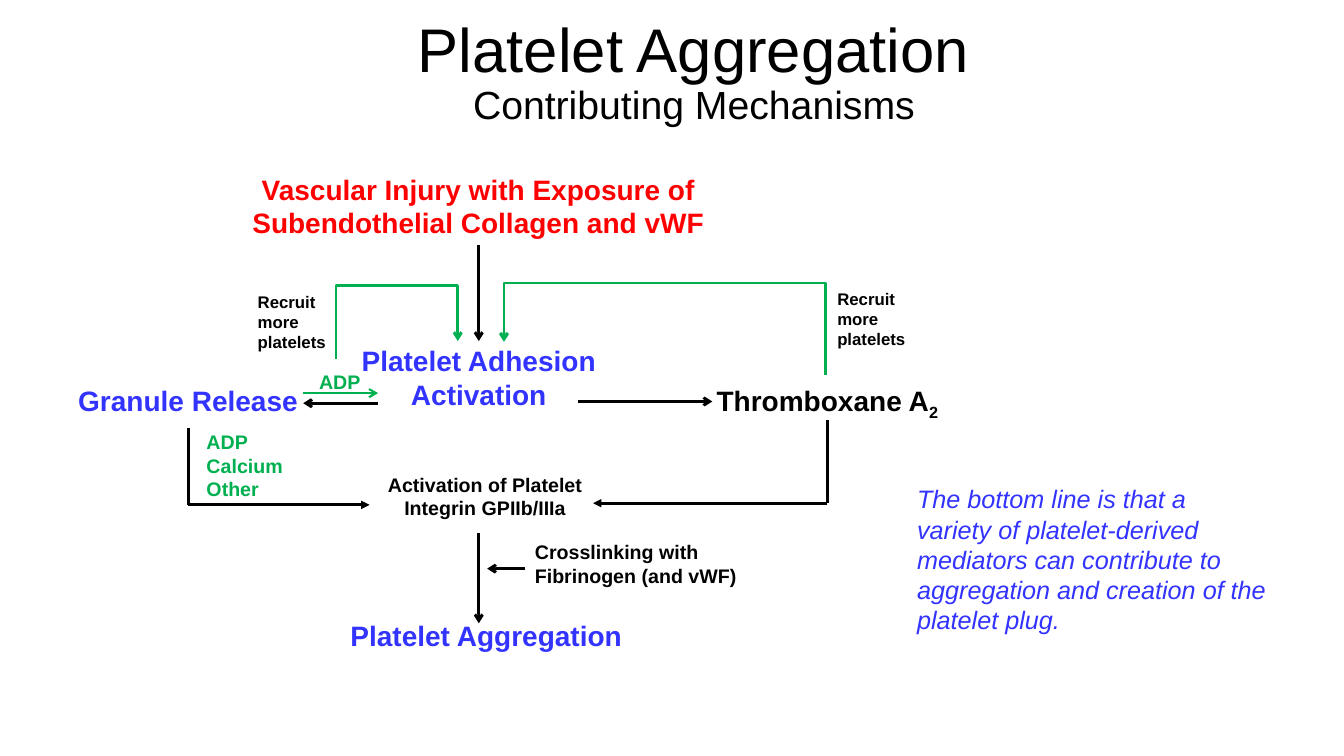
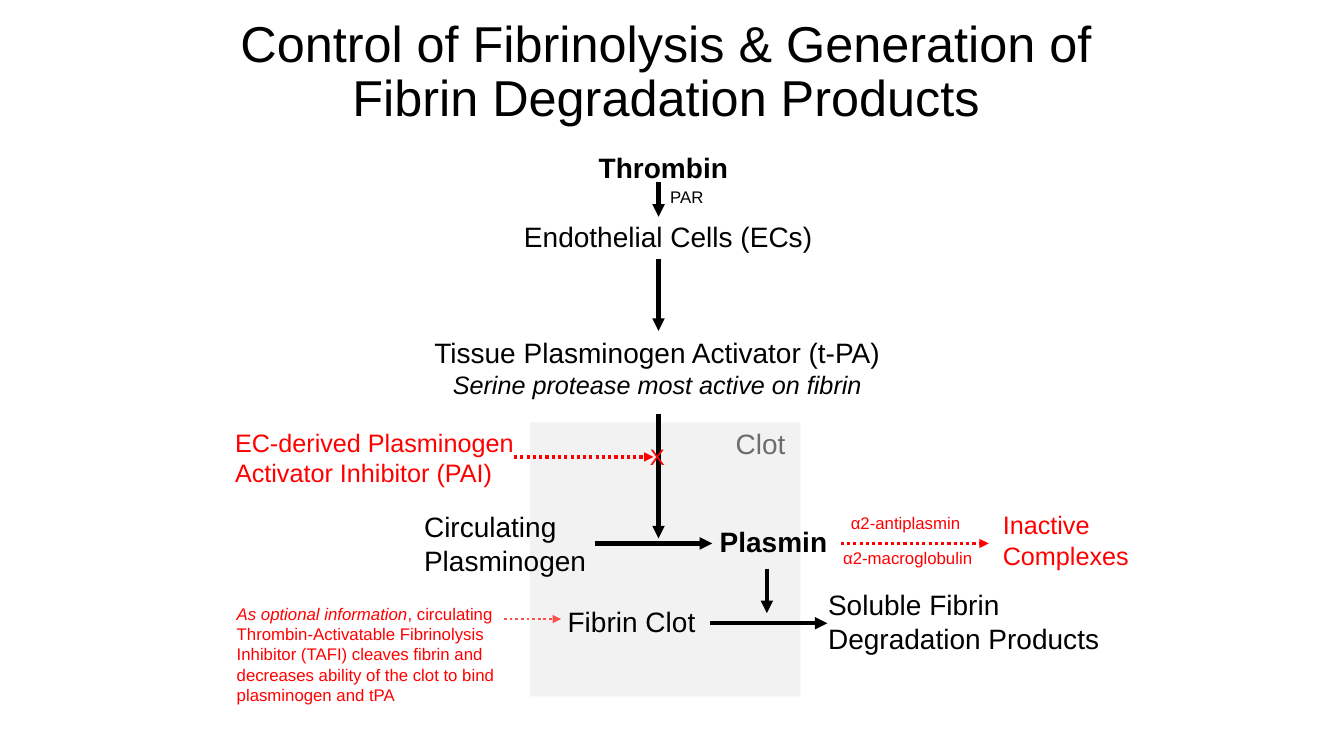
from lxml import etree
from pptx import Presentation
from pptx.dml.color import RGBColor
from pptx.enum.dml import MSO_LINE
from pptx.enum.shapes import MSO_CONNECTOR, MSO_SHAPE
from pptx.enum.text import MSO_ANCHOR, PP_ALIGN
from pptx.oxml.ns import qn
from pptx.util import Inches, Pt

LEFT, CENTER = PP_ALIGN.LEFT, PP_ALIGN.CENTER
TOP, MIDDLE = MSO_ANCHOR.TOP, MSO_ANCHOR.MIDDLE
STRAIGHT = MSO_CONNECTOR.STRAIGHT
RECTANGLE = MSO_SHAPE.RECTANGLE
DOTTED = MSO_LINE.ROUND_DOT

COLUMNS, ROWS = 160, 90
CELL = Inches(1) / 12
BLANK_LAYOUT = 6
FONT = "Arial"

BLACK, WHITE = "000000", "FFFFFF"
RED, PALE_RED = "FF0000", "FF5050"
BLUE, GREEN = "3333FF", "00B050"
CLOT_FILL, CLOT_LABEL = "F2F2F2", "6D6D6D"

# Heights of text boxes, in rows
ONE_LINE, TWO_LINES, SMALL_LINE = 5.3, 9.2, 3.6

STEP = dict(size=20, bold=True, align=CENTER)
DETAIL = dict(size=14, bold=True)
RECRUIT = dict(size=12, bold=True)
LABEL = dict(size=20, wrap=False)
INHIBITOR = dict(size=18, color=RED)
SMALL_INHIBITOR = dict(size=12, color=RED, wrap=False)
FLOW = dict(width=3, head="triangle")
INHIBITION = dict(color=RED, width=2.25, head="triangle", dash=DOTTED)


def cells(*counts):
    return [round(count * CELL) for count in counts]


def rgb(hex_code):
    return RGBColor.from_string(hex_code)


def add_text(slide, box, paragraphs, size, color=BLACK, bold=False, italic=False,
             align=LEFT, anchor=TOP, wrap=True, spacing=None):
    """Each paragraph is a string or a list of (text, run format) pairs."""
    frame = slide.shapes.add_textbox(*cells(*box)).text_frame
    frame.word_wrap = wrap
    frame.vertical_anchor = anchor
    for index, content in enumerate(paragraphs):
        paragraph = frame.add_paragraph() if index else frame.paragraphs[0]
        paragraph.alignment = align
        paragraph.line_spacing = spacing
        runs = [(content, {})] if isinstance(content, str) else content
        for words, changes in runs:
            run = paragraph.add_run()
            run.text = words
            run.font.name = FONT
            run.font.size = Pt(changes.get("size", size))
            run.font.bold = bold
            run.font.italic = changes.get("italic", italic)
            run.font.color.rgb = rgb(color)
            if "baseline" in changes:
                run._r.get_or_add_rPr().set("baseline", changes["baseline"])


def add_title(slide, box, paragraphs, size):
    add_text(slide, box, paragraphs, size, align=CENTER, anchor=MIDDLE, spacing=0.9)


def add_panel(slide, box, color):
    panel = slide.shapes.add_shape(RECTANGLE, *cells(*box))
    panel.shadow.inherit = False
    panel.fill.solid()
    panel.fill.fore_color.rgb = rgb(color)
    panel.line.fill.background()


def style_line(shape, color, width, head, dash=None):
    shape.line.color.rgb = rgb(color)
    shape.line.width = Pt(width)
    if dash:
        shape.line.dash_style = dash
    if head:
        outline = shape._element.spPr.get_or_add_ln()
        etree.SubElement(outline, qn("a:tailEnd"), type=head)


def add_arrow(slide, start, end, color=BLACK, width=2, head="arrow", dash=None):
    arrow = slide.shapes.add_connector(STRAIGHT, *cells(*start, *end))
    style_line(arrow, color, width, head, dash)
    etree.SubElement(arrow._element.spPr, qn("a:effectLst"))


def add_elbow(slide, start, corner, end):
    add_arrow(slide, start, corner, head=None)
    add_arrow(slide, corner, end, head="triangle")


def add_feedback(slide, points):
    """Bent green arrow through all the points."""
    start, *rest = [cells(*point) for point in points]
    builder = slide.shapes.build_freeform(*start)
    builder.add_line_segments(rest, close=False)
    feedback = builder.convert_to_shape()
    feedback.shadow.inherit = False
    feedback.fill.background()
    style_line(feedback, GREEN, 2, "arrow")


def draw_aggregation(slide):
    spine = 57
    add_text(slide, (22.4, 19.9, 69.1, TWO_LINES),
             ["Vascular Injury with Exposure of Subendothelial Collagen and vWF"],
             color=RED, **STEP)
    adhesion = (38.5, 40.3, 37, TWO_LINES)
    add_panel(slide, adhesion, WHITE)
    add_text(slide, adhesion, ["Platelet Adhesion", "Activation"], color=BLUE, **STEP)
    add_text(slide, (7.9, 45.1, 29, ONE_LINE), ["Granule Release"], color=BLUE, **STEP)
    add_title(slide, (20.9, 1.6, 123.4, 14.3),
              ["Platelet Aggregation", [("Contributing Mechanisms", dict(size=28))]], 44)
    add_text(slide, (80, 45.1, 37, ONE_LINE),
             [[("Thromboxane A", {}), ("2", dict(baseline="-25000"))]], **STEP)
    add_text(slide, (37.4, 73, 41, ONE_LINE), ["Platelet Aggregation"],
             color=BLUE, **STEP)

    add_text(slide, (33.8, 43.4, 13.3, 4.1), ["ADP"], color=GREEN, align=CENTER, **DETAIL)
    add_text(slide, (23.4, 50.6, 17.2, 9.7), ["ADP", "Calcium", "Other"],
             color=GREEN, **DETAIL)
    add_text(slide, (44.9, 55.7, 25.7, 6.8),
             ["Activation of Platelet", "Integrin GPIIb/IIIa"], align=CENTER, **DETAIL)
    add_text(slide, (62.5, 63.7, 27.1, 6.8),
             ["Crosslinking with Fibrinogen (and vWF)"], **DETAIL)
    for recruit_box in ((29.5, 34.1, 13.3, 8.5), (98.5, 33.8, 11.3, 8.5)):
        add_text(slide, recruit_box, ["Recruit more platelets"], **RECRUIT)

    for start, end in (
        ((spine, 29.2), (spine, 40.6)),
        ((spine, 63.4), (spine, 74.2)),
        ((45, 48), (36.1, 48)),
        ((68.8, 47.8), (84.8, 47.8)),
        ((62.5, 67.7), (58, 67.7)),
    ):
        add_arrow(slide, start, end)
    add_arrow(slide, (36.1, 46.8), (45, 46.8), color=GREEN, width=1.5)
    add_elbow(slide, (98.5, 50), (98.5, 59.9), (70.6, 59.9))
    add_elbow(slide, (22.4, 50.9), (22.4, 60.1), (44, 60.1))
    add_feedback(slide, [(40, 42.7), (40, 34), (54.5, 34), (54.5, 40.6)])
    add_feedback(slide, [(98.3, 44.6), (98.3, 33.7), (60, 33.7), (60, 40.7)])

    add_text(slide, (108, 57, 44, 19.4),
             ["The bottom line is that a variety of platelet-derived mediators can "
              "contribute to aggregation and creation of the platelet plug."],
             size=18, color=BLUE, italic=True)


def draw_fibrinolysis(slide):
    spine = 78.4
    plasmin_row = 64.7
    add_panel(slide, (63.1, 50.3, 32.2, 32.6), CLOT_FILL)
    add_title(slide, (23.2, 1.2, 112.2, 15),
              ["Control of Fibrinolysis & Generation of Fibrin Degradation Products"], 36)

    add_text(slide, (70.1, 17.3, 18, ONE_LINE), ["Thrombin"], bold=True, **LABEL)
    add_text(slide, (78.6, 21.7, 6.4, SMALL_LINE), ["PAR"], size=12, wrap=False)
    add_text(slide, (61.2, 25.6, 37.1, ONE_LINE), ["Endothelial Cells (ECs)"], **LABEL)
    add_text(slide, (40.8, 39.4, 74.9, 8.9),
             ["Tissue Plasminogen Activator (t-PA)",
              [("Serine protease most active on fibrin", dict(size=18, italic=True))]],
             size=20, align=CENTER)
    add_text(slide, (86.4, 50.2, 8.4, ONE_LINE), ["Clot"], color=CLOT_LABEL, **LABEL)
    add_text(slide, (49.3, 60.1, 22.9, TWO_LINES), ["Circulating", "Plasminogen"], size=20)
    add_text(slide, (84.5, 61.8, 15.4, ONE_LINE), ["Plasmin"], bold=True, **LABEL)
    add_text(slide, (66.4, 71.4, 17.8, ONE_LINE), ["Fibrin Clot"], **LABEL)
    add_text(slide, (97.4, 69.4, 35.9, TWO_LINES),
             ["Soluble Fibrin", "Degradation Products"], **LABEL)

    for start, end in (
        ((spine, 21.7), (spine, 25.8)),
        ((spine, 30.8), (spine, 39.4)),
        ((spine, 49.3), (spine, 64.1)),
        ((70.8, plasmin_row), (84.8, plasmin_row)),
        ((91.3, 67.7), (91.3, 73)),
        ((84.5, 74.2), (98.5, 74.2)),
    ):
        add_arrow(slide, start, end, **FLOW)

    add_text(slide, (26.8, 50.3, 36.2, 8.5),
             ["EC-derived Plasminogen Activator Inhibitor (PAI)"], **INHIBITOR)
    add_arrow(slide, (61.2, 54.4), (77.8, 54.4), **INHIBITION)
    add_text(slide, (76.2, 52.2, 4.2, 4.4), ["X"], size=16, color=RED, wrap=False)
    add_text(slide, (100.1, 60.5, 15.7, SMALL_LINE), ["α2-antiplasmin"],
             **SMALL_INHIBITOR)
    add_arrow(slide, (100.1, plasmin_row), (117.7, plasmin_row), **INHIBITION)
    add_text(slide, (99.2, 64.6, 18, SMALL_LINE), ["α2-macroglobulin"],
             **SMALL_INHIBITOR)
    add_text(slide, (118.2, 60.1, 25.6, 8.5), ["Inactive Complexes"], **INHIBITOR)
    add_text(slide, (27, 71.3, 39, 13.3),
             [[("As optional information", dict(italic=True)),
               (", circulating Thrombin-Activatable Fibrinolysis Inhibitor (TAFI) cleaves "
                "fibrin and decreases ability of the clot to bind plasminogen and tPA", {})]],
             size=12, color=RED)
    add_arrow(slide, (60, 73.7), (66.8, 73.7), color=PALE_RED, head="triangle", dash=DOTTED)


def main():
    deck = Presentation()
    deck.slide_width, deck.slide_height = cells(COLUMNS, ROWS)
    for draw in (draw_aggregation, draw_fibrinolysis):
        draw(deck.slides.add_slide(deck.slide_layouts[BLANK_LAYOUT]))
    deck.save("out.pptx")


if __name__ == "__main__":
    main()
